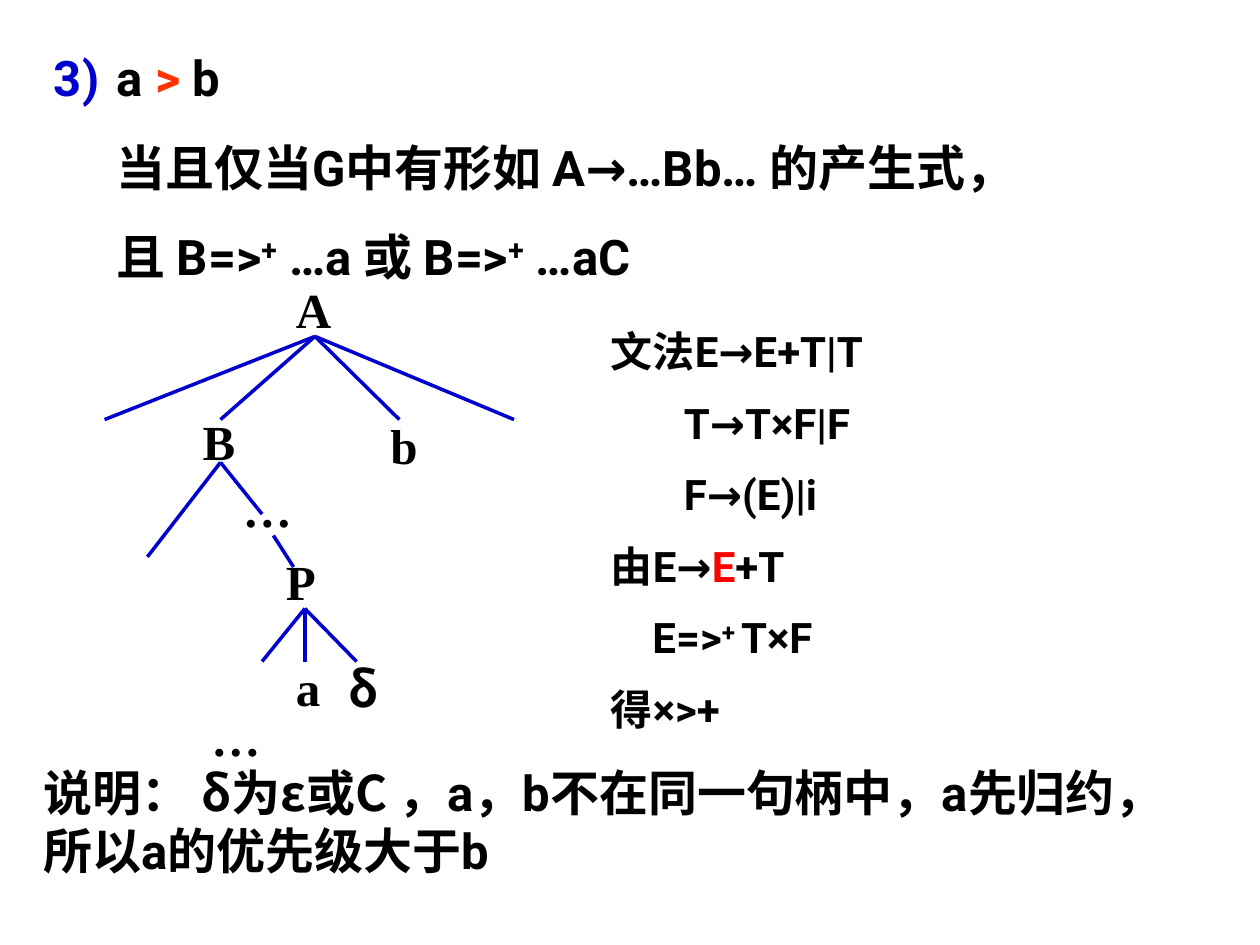
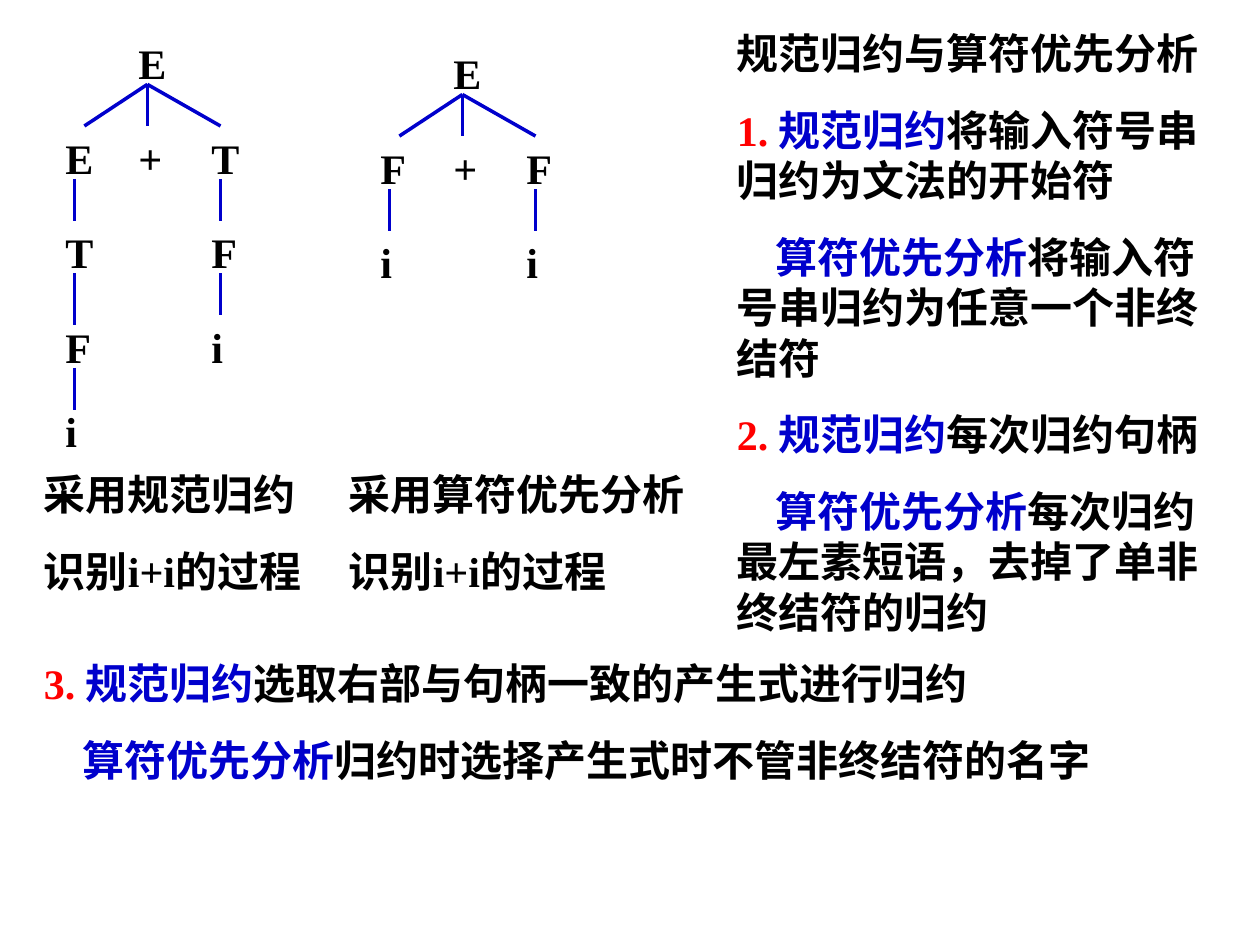
from dataclasses import dataclass

from lxml.etree import SubElement
from pptx import Presentation
from pptx.dml.color import RGBColor as RGB
from pptx.enum.shapes import MSO_CONNECTOR as CONNECTOR
from pptx.enum.text import MSO_AUTO_SIZE as AUTO_SIZE
from pptx.oxml.ns import qn
from pptx.util import Inches, Pt


@dataclass(frozen=True)
class Theme:
    black: str = "000000"
    blue: str = "0000CC"
    red: str = "FF0000"
    orange: str = "FF3300"
    sans: str = "Roboto"
    serif: str = "Times New Roman"
    cjk: str = "Noto Sans CJK SC"
    large: float = 28
    medium: float = 24
    line: float = 2


THEME = Theme()


@dataclass(frozen=True)
class Style:
    font: str
    size: float
    space_before: float = 0
    line_spacing: float = 1.0


RULE = Style(THEME.sans, THEME.large, 17.5)
REMARK = Style(THEME.sans, THEME.large)
GRAMMAR = Style(THEME.sans, THEME.medium, 15, 0.9)
NODE = Style(THEME.serif, THEME.large, 17.5)
DELTA = Style(THEME.cjk, THEME.large, 17.5)
BODY = Style(THEME.serif, THEME.medium, 15)


@dataclass(frozen=True)
class Run:
    text: str
    color: str = THEME.black
    raised: bool = False
    font: str = ""


@dataclass(frozen=True)
class Para:
    runs: tuple
    left: float = 0
    first: float = 0
    number: int = 0


PLUS = Run("+", raised=True)


def para(*runs, **layout):
    """Plain strings become black runs."""
    return Para(tuple(Run(r) if isinstance(r, str) else r for r in runs), **layout)


def add_run(p, run, style):
    r = p.add_run()
    r.text = run.text
    formats = {"name": run.font or style.font, "size": Pt(style.size), "bold": True}
    for name, value in formats.items():
        setattr(r.font, name, value)
    r.font.color.rgb = RGB.from_string(run.color)
    r_pr = r._r.get_or_add_rPr()
    if run.raised:
        r_pr.set("baseline", "30000")
    SubElement(r_pr, qn("a:ea"), typeface=THEME.cjk)


def add_number(p_pr, start):
    color = SubElement(p_pr, qn("a:buClr"))
    SubElement(color, qn("a:srgbClr"), val=THEME.blue)
    SubElement(p_pr, qn("a:buAutoNum"), type="arabicParenR", startAt=str(start))


def add_text(shapes, box, style, *paras):
    sp = shapes.add_textbox(*map(Inches, box))
    tf = sp.text_frame
    tf.word_wrap = True
    tf.auto_size = AUTO_SIZE.SHAPE_TO_FIT_TEXT
    for i, item in enumerate(paras):
        p = tf.paragraphs[0] if i == 0 else tf.add_paragraph()
        formats = {"space_before": Pt(style.space_before),
                   "line_spacing": style.line_spacing}
        for name, value in formats.items():
            setattr(p, name, value)
        p_pr = p._p.get_or_add_pPr()
        p_pr.set("marL", str(Inches(item.left)))
        p_pr.set("indent", str(Inches(item.first)))
        if item.number:
            add_number(p_pr, item.number)
        for run in item.runs:
            add_run(p, run, style)


def add_line(shapes, start, end):
    line = shapes.add_connector(CONNECTOR.STRAIGHT, *map(Inches, start + end))
    line.line.color.rgb = RGB.from_string(THEME.blue)
    line.line.width = Pt(THEME.line)
    SubElement(line._element.spPr, qn("a:effectLst"))


def add_fan(shapes, apex, ends):
    for end in ends:
        add_line(shapes, apex, end)


def add_derivation(slide, x, y, left, right):
    """Draw E over left + right; a chain lists symbol, drop from root, stem length."""
    middle, last, size = 0.58, 1.16, 0.5
    shapes = slide.shapes.add_group_shape().shapes

    def add_symbol(symbol, dx, dy):
        add_text(shapes, (x + dx, y + dy, size, size), BODY, para(symbol))

    add_symbol("E", middle, 0)
    add_symbol("+", middle, 0.75)
    ax, ay = x + middle + 0.17, y + 0.42
    add_fan(shapes, (ax, ay), [(ax + dx, ay + 0.33) for dx in (-0.5, 0, 0.58)])
    for dx, chain in ((0, left), (last, right)):
        for symbol, drop, stem in chain:
            add_symbol(symbol, dx, drop)
            if stem:
                sx, sy = x + dx + 0.17, y + drop + 0.42
                add_line(shapes, (sx, sy), (sx, sy + stem))


def add_handle_tree(slide):
    shapes = slide.shapes.add_group_shape().shapes
    nodes = [("b", 3, 3.25), ("B", 1.51, 3.22), ("A", 2.25, 2.17),
             ("P", 2.17, 4.33), ("a", 2.25, 5.17)]
    for symbol, x, y in nodes:
        add_text(shapes, (x, y, 0.42, 0.57), NODE, para(symbol))
    add_text(shapes, (1.83, 3.75, 0.58, 0.57), NODE, para("…"))
    add_text(shapes, (1.58, 5.1, 0.67, 1.04), NODE, para(" …"))
    add_text(shapes, (2.67, 5.18, 0.58, 0.57), DELTA, para("δ"))
    fans = [((2.5, 2.67), [(x, 3.33) for x in (0.83, 1.75, 3.17, 4.08)]),
            ((1.75, 3.67), [(1.17, 4.42), (2.08, 4.08)]),
            ((2.17, 4.25), [(2.33, 4.5)]),
            ((2.42, 4.83), [(x, 5.25) for x in (2.08, 2.42, 2.83)])]
    for apex, ends in fans:
        add_fan(shapes, apex, ends)


def build_precedence_slide(slide):
    shapes = slide.shapes
    add_text(
        shapes, (0.33, 0.33, 9.33, 1.99), RULE,
        para("a ", Run("> ", THEME.orange), "b", left=0.5, first=-0.5, number=3),
        para("当且仅当G中有形如 A→…Bb… 的产生式，", left=0.5),
        para("且 B=>", PLUS, " …a 或 B=>", PLUS, " …aC", left=0.5))
    add_text(
        shapes, (0.25, 6, 9.5, 1.04), REMARK,
        para("说明： ", Run("δ为ε或C ", font=THEME.cjk),
             "，a，b不在同一句柄中，a先归约，\t所以a的优先级大于b"))
    add_handle_tree(slide)
    add_text(
        shapes, (4.75, 2.58, 3.5, 3.3), GRAMMAR,
        para("文法E→E+T|T"),
        para("T→T×F|F", left=0.58),
        para("F→(E)|i", left=0.58),
        para("由E→", Run("E", THEME.red), "+T"),
        para("E=>", Run("+ ", raised=True), "T×F", left=0.33),
        para("得×>+"))


def canonical(number, text):
    return para(Run(f"{number}. ", THEME.red), Run("规范归约", THEME.blue), text)


def precedence(text):
    return para(Run("算符优先分析", THEME.blue), text, first=0.31)


def build_comparison_slide(slide):
    add_derivation(
        slide, 0.42, 0.25,
        [("E", 0.75, 0.33), ("T", 1.5, 0.41), ("F", 2.25, 0.33), ("i", 2.92, 0)],
        [("T", 0.75, 0.33), ("F", 1.5, 0.33), ("i", 2.25, 0)])
    short_chain = [("F", 0.75, 0.33), ("i", 1.5, 0)]
    add_derivation(slide, 2.92, 0.33, short_chain, short_chain)
    shapes = slide.shapes
    for x, width, method in ((0.25, 2.42, "规范归约"), (2.67, 3.25, "算符优先分析")):
        add_text(shapes, (x, 3.67, width, 1.11), BODY,
                 para(f"采用{method}"), para("识别i+i的过程"))
    add_text(
        shapes, (5.75, 0.17, 4.08, 4.94), BODY,
        para("规范归约与算符优先分析"),
        canonical(1, "将输入符号串归约为文法的开始符"),
        precedence("将输入符号串归约为任意一个非终结符"),
        canonical(2, "每次归约句柄"),
        precedence("每次归约最左素短语，去掉了单非终结符的归约"))
    add_text(
        shapes, (0.25, 5.17, 9.5, 1.11), BODY,
        canonical(3, "选取右部与句柄一致的产生式进行归约"),
        precedence("归约时选择产生式时不管非终结符的名字"))


def main():
    prs = Presentation()
    prs.slide_width, prs.slide_height = Inches(10), Inches(7.5)
    blank = prs.slide_layouts[6]
    for build in (build_precedence_slide, build_comparison_slide):
        build(prs.slides.add_slide(blank))
    prs.save("out.pptx")


if __name__ == "__main__":
    main()
